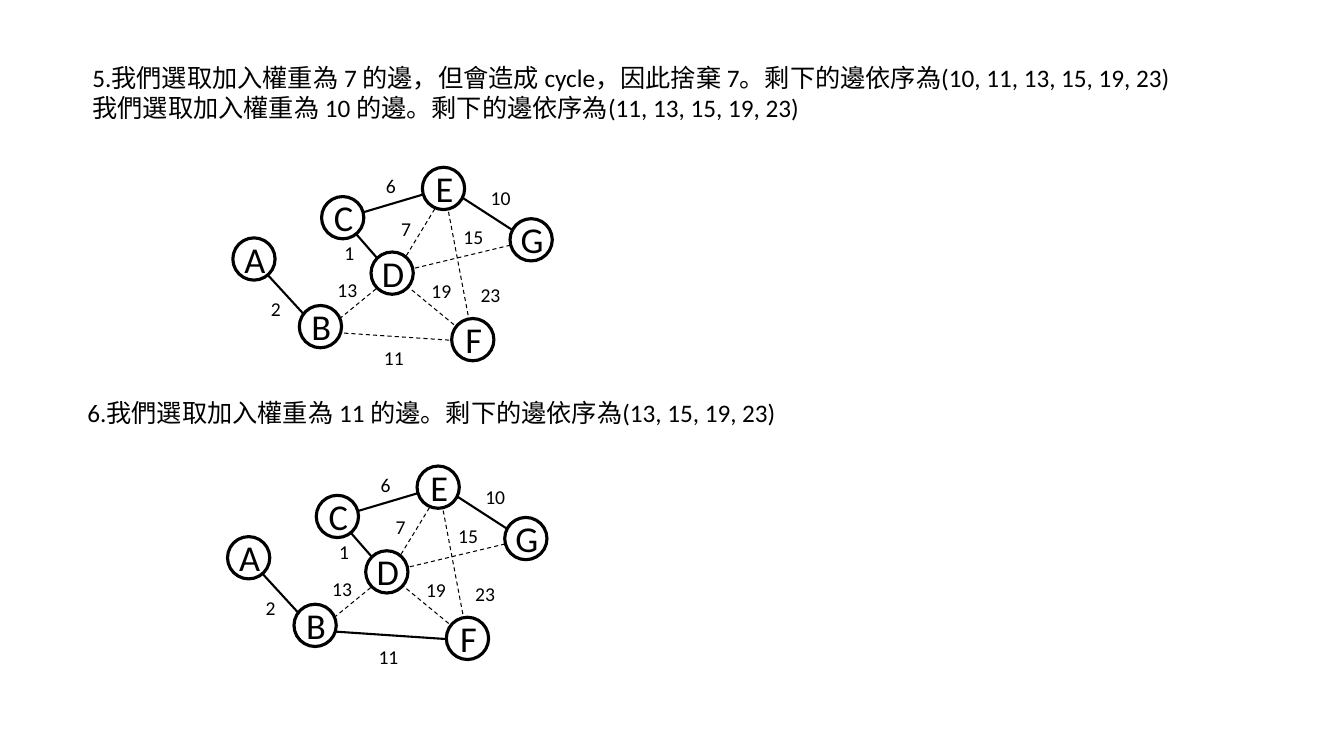
from typing import NamedTuple

from lxml.etree import SubElement
from pptx import Presentation
from pptx.dml.color import RGBColor
from pptx.enum.dml import MSO_LINE_DASH_STYLE as DASH
from pptx.enum.shapes import MSO_CONNECTOR as CONN, MSO_SHAPE as SHAPE
from pptx.enum.text import MSO_AUTO_SIZE as AUTO, PP_ALIGN as ALIGN
from pptx.oxml.ns import qn
from pptx.util import Pt

COLORS = {"ink": "000000", "node": "FFFFFF"}
FONT = "Calibri"
NODE_SIZE = 30.2
LETTER_HEIGHT = 38.9
LABEL_HEIGHT = 24.5


class Node(NamedTuple):
    name: str
    x: float
    y: float
    letter_width: float


class Edge(NamedTuple):
    weight: int
    start: tuple[float, float]
    end: tuple[float, float]
    label: tuple[float, float]
    label_width: float = 69


class Step(NamedTuple):
    lines: list[str]
    box: tuple[float, float, float, float]
    graph_shift: tuple[float, float]
    chosen: set[int]


NODES = [
    Node("A", 166.3, 169.9, 29.5),
    Node("F", 322.6, 227.5, 26.6),
    Node("B", 213.8, 218.2, 28.8),
    Node("D", 265, 180, 31),
    Node("G", 364.3, 156.2, 31),
    Node("C", 229.7, 140.4, 28.8),
    Node("E", 301.7, 119.5, 27.4),
]

EDGES = [
    Edge(2, (182.2, 186.5), (229.7, 238.3), (186.5, 208.8), 31),
    Edge(1, (244.8, 156.2), (279.4, 195.8), (239, 168.5), 21.6),
    Edge(23, (317.5, 136.1), (337.7, 242.6), (336.2, 198.7)),
    Edge(15, (281.5, 195.1), (380.2, 171.4), (324, 157)),
    Edge(11, (230.4, 236.9), (337.7, 244.1), (267.1, 243.4)),
    Edge(13, (230.4, 237.6), (281.5, 195.8), (234, 195.1)),
    Edge(6, (244.1, 156.2), (316.8, 134.6), (268.6, 121)),
    Edge(10, (319, 133.9), (380.2, 173.5), (343.4, 129.6)),
    Edge(7, (282.2, 195.8), (319, 135.4), (279.4, 151.2)),
    Edge(19, (282.2, 197.3), (339.1, 244.1), (301, 195.8), 29.5),
]

STEPS = [
    Step(
        ["5.我們選取加入權重為 7 的邊，但會造成 cycle，因此捨棄 7。"
         "剩下的邊依序為(10, 11, 13, 15, 19, 23)",
         "我們選取加入權重為 10 的邊。剩下的邊依序為(11, 13, 15, 19, 23)"],
        (59, 41, 813.6, 51), (0, 0), {1, 2, 6, 10},
    ),
    Step(
        ["6.我們選取加入權重為 11 的邊。剩下的邊依序為(13, 15, 19, 23)"],
        (55.4, 280, 650, 29), (-3.8, 213.4), {1, 2, 6, 10, 11},
    ),
]


def rgb(name: str) -> RGBColor:
    return RGBColor.from_string(COLORS[name])


def add_text(shapes, lines: list[str], box: tuple[float, float, float, float],
             size: float, centered: bool = False) -> None:
    """Add a text box; centred text stays on one line, other text wraps."""
    tf = shapes.add_textbox(*map(Pt, box)).text_frame
    tf.text = "\n".join(lines)
    tf.word_wrap = not centered
    tf.auto_size = AUTO.SHAPE_TO_FIT_TEXT
    for p in tf.paragraphs:
        if centered:
            p.alignment = ALIGN.CENTER
        for r in p.runs:
            r.font.name = FONT
            r.font.size = Pt(size)
            r.font.color.rgb = rgb("ink")


def add_edge(shapes, edge: Edge, dx: float, dy: float, chosen: bool) -> None:
    (x1, y1), (x2, y2) = edge.start, edge.end
    s = shapes.add_connector(CONN.STRAIGHT, Pt(x1 + dx), Pt(y1 + dy),
                             Pt(x2 + dx), Pt(y2 + dy))
    s.line.color.rgb = rgb("ink")
    s.line.width = Pt(1.5 if chosen else 0.75)
    if not chosen:
        s.line.dash_style = DASH.DASH
    SubElement(s._element.spPr, qn("a:effectLst"))


def add_circle(shapes, node: Node, dx: float, dy: float) -> None:
    s = shapes.add_shape(SHAPE.OVAL, Pt(node.x + dx), Pt(node.y + dy),
                         Pt(NODE_SIZE), Pt(NODE_SIZE))
    s.shadow.inherit = False
    s.fill.solid()
    s.fill.fore_color.rgb = rgb("node")
    s.line.color.rgb = rgb("ink")
    s.line.width = Pt(2.25)


def add_letter(shapes, node: Node, dx: float, dy: float) -> None:
    left = node.x + dx + (NODE_SIZE - node.letter_width) / 2 + 0.7
    top = node.y + dy + (NODE_SIZE - LETTER_HEIGHT) / 2
    add_text(shapes, [node.name],
             (left, top, node.letter_width, LETTER_HEIGHT), 26, centered=True)


def add_graph(shapes, step: Step) -> None:
    dx, dy = step.graph_shift
    for edge in EDGES:
        add_edge(shapes, edge, dx, dy, edge.weight in step.chosen)
    for node in NODES:
        add_circle(shapes, node, dx, dy)
    for node in NODES:
        add_letter(shapes, node, dx, dy)
    for edge in EDGES:
        x, y = edge.label
        add_text(shapes, [str(edge.weight)],
                 (x + dx, y + dy, edge.label_width, LABEL_HEIGHT), 14)


def main() -> None:
    prs = Presentation()
    prs.slide_width, prs.slide_height = Pt(960), Pt(540)
    shapes = prs.slides.add_slide(prs.slide_layouts[6]).shapes
    for step in STEPS:
        add_graph(shapes, step)
        add_text(shapes, step.lines, step.box, 18)
    prs.save("out.pptx")


if __name__ == "__main__":
    main()
